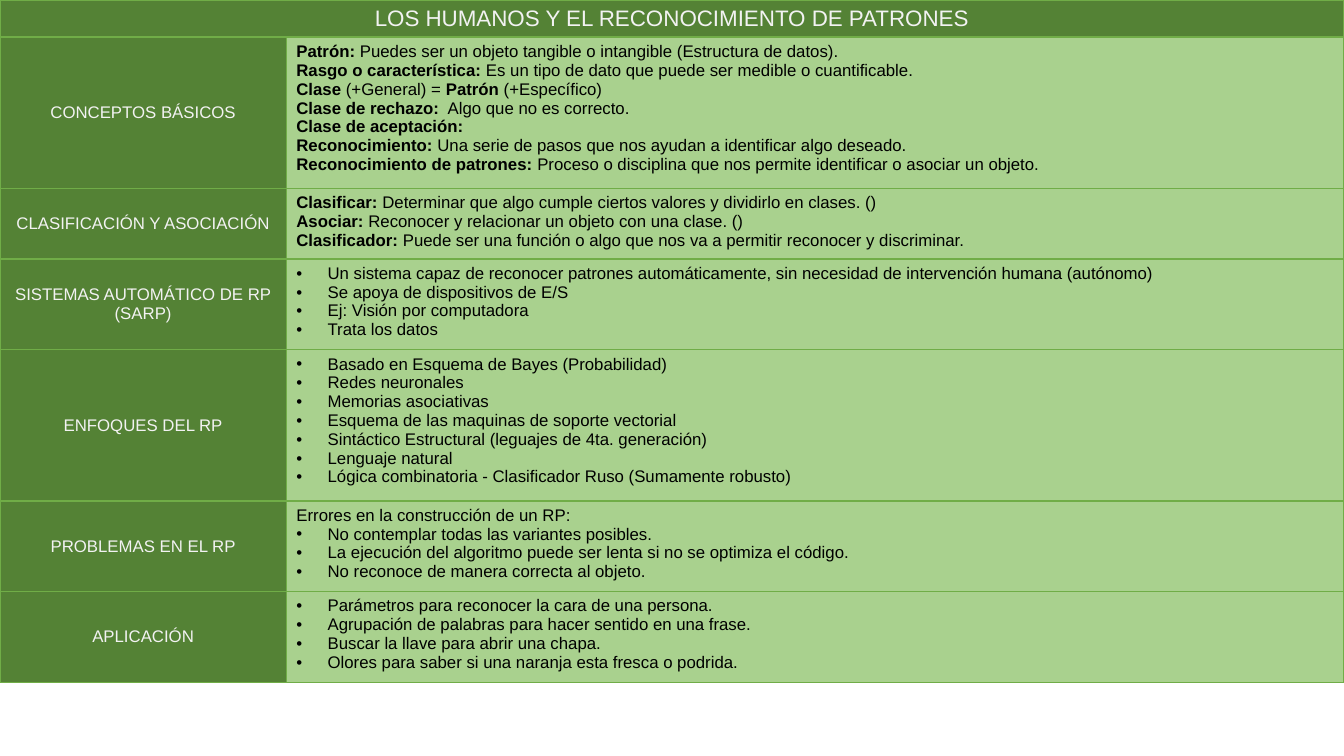
from dataclasses import dataclass

from lxml.etree import SubElement
from pptx import Presentation
from pptx.dml.color import RGBColor
from pptx.enum.text import MSO_ANCHOR, PP_ALIGN
from pptx.oxml.ns import qn
from pptx.table import _Cell as Cell
from pptx.text.text import _Paragraph as Para
from pptx.util import Inches, Pt

COLORS = {
    "dark": "548235",
    "light": "A9D18E",
    "line": "70AD47",
    "pale": "F2F2F2",
    "black": "000000",
}
TITLE = "LOS HUMANOS Y EL RECONOCIMIENTO DE PATRONES"
WIDTHS = (2.84, 10.49)
HEAD = 0.37
INDENT = Inches(0.31)


@dataclass
class Topic:
    label: str
    height: float
    lines: tuple[str, ...] = ()   # plain lines, bold between asterisks
    items: tuple[str, ...] = ()   # bulleted lines


TOPICS = (
    Topic("CONCEPTOS BÁSICOS", 1.5, lines=(
        "*Patrón: *Puedes ser un objeto tangible o intangible (Estructura de datos).",
        "*Rasgo o característica: *Es un tipo de dato que puede ser medible o cuantificable.",
        "*Clase *(+General) = *Patrón *(+Específico)",
        "*Clase de rechazo: * Algo que no es correcto.",
        "*Clase de aceptación:*",
        "*Reconocimiento: *Una serie de pasos que nos ayudan a identificar algo deseado.",
        "*Reconocimiento de patrones: *Proceso o disciplina que nos permite "
        "identificar o asociar un objeto.",
    )),
    Topic("CLASIFICACIÓN Y ASOCIACIÓN", 0.7, lines=(
        "*Clasificar: *Determinar que algo cumple ciertos valores y dividirlo en clases. ()",
        "*Asociar: *Reconocer y relacionar un objeto con una clase. ()",
        "*Clasificador: *Puede ser una función o algo que nos va a permitir "
        "reconocer y discriminar.",
    )),
    Topic("SISTEMAS AUTOMÁTICO DE RP (SARP)", 0.9, items=(
        "Un sistema capaz de reconocer patrones automáticamente, sin necesidad de "
        "intervención humana (autónomo)",
        "Se apoya de dispositivos de E/S",
        "Ej: Visión por computadora",
        "Trata los datos",
    )),
    Topic("ENFOQUES DEL RP", 1.5, items=(
        "Basado en Esquema de Bayes (Probabilidad)",
        "Redes neuronales",
        "Memorias asociativas",
        "Esquema de las maquinas de soporte vectorial",
        "Sintáctico Estructural (leguajes de 4ta. generación)",
        "Lenguaje natural",
        "Lógica combinatoria - Clasificador Ruso (Sumamente robusto)",
    )),
    Topic("PROBLEMAS EN EL RP", 0.9, lines=("Errores en la construcción de un RP:",), items=(
        "No contemplar todas las variantes posibles.",
        "La ejecución del algoritmo puede ser lenta si no se optimiza el código.",
        "No reconoce de manera correcta al objeto.",
    )),
    Topic("APLICACIÓN", 0.9, items=(
        "Parámetros para reconocer la cara de una persona.",
        "Agrupación de palabras para hacer sentido en una frase.",
        "Buscar la llave para abrir una chapa.",
        "Olores para saber si una naranja esta fresca o podrida.",
    )),
)


def color(name: str) -> RGBColor:
    return RGBColor.from_string(COLORS[name])


def frame(cell: Cell, row: int) -> None:
    """Draw the cell borders, with a thicker rule under the header."""
    props = cell._tc.get_or_add_tcPr()
    for side in "LRTB":
        thick = (row, side) in ((0, "B"), (1, "T"))
        line = SubElement(props, qn(f"a:ln{side}"), w=str(Pt(2 if thick else 1)))
        fill = SubElement(line, qn("a:solidFill"))
        SubElement(fill, qn("a:srgbClr"), val=COLORS["line"])


def paint(cell: Cell, name: str) -> None:
    cell.fill.solid()
    cell.fill.fore_color.rgb = color(name)


def write(para: Para, text: str, tint: str, size: int = 12) -> None:
    for num, part in enumerate(text.split("*")):
        if not part:
            continue
        run = para.add_run()
        run.text = part
        style = {"name": "Arial", "size": Pt(size), "bold": num % 2 == 1}
        for key, value in style.items():
            setattr(run.font, key, value)
        run.font.color.rgb = color(tint)


def label(cell: Cell, text: str, size: int = 12) -> None:
    cell.vertical_anchor = MSO_ANCHOR.MIDDLE
    para = cell.text_frame.paragraphs[0]
    para.alignment = PP_ALIGN.CENTER
    write(para, text, "pale", size)


def bullet(para: Para) -> None:
    props = para._p.get_or_add_pPr()
    props.set("marL", str(INDENT))
    props.set("indent", str(-INDENT))
    SubElement(props, qn("a:buFont"), typeface="Arial")
    SubElement(props, qn("a:buChar"), char="•")


def detail(cell: Cell, topic: Topic) -> None:
    body = cell.text_frame
    for num, text in enumerate(topic.lines + topic.items):
        para = body.add_paragraph() if num else body.paragraphs[0]
        if num >= len(topic.lines):
            bullet(para)
        write(para, text, "black")


def main() -> None:
    deck = Presentation()
    deck.slide_width, deck.slide_height = Inches(13.33), Inches(7.5)
    slide = deck.slides.add_slide(deck.slide_layouts[6])

    # Table grid
    heights = [HEAD] + [topic.height for topic in TOPICS]
    shape = slide.shapes.add_table(len(heights), len(WIDTHS), 0, 0,
                                   Inches(sum(WIDTHS)), Inches(sum(heights)))
    table = shape.table
    table.horz_banding = False
    for col, width in zip(table.columns, WIDTHS):
        col.width = Inches(width)
    for num, height in enumerate(heights):
        table.rows[num].height = Inches(height)
        for cell, name in zip(table.rows[num].cells, ("dark", "light")):
            frame(cell, num)
            paint(cell, name if num else "dark")

    # Header across both columns
    head = table.cell(0, 0)
    head.merge(table.cell(0, 1))
    label(head, TITLE, 16)

    # One row for each topic
    for num, topic in enumerate(TOPICS, 1):
        label(table.cell(num, 0), topic.label)
        detail(table.cell(num, 1), topic)

    deck.save("out.pptx")


if __name__ == "__main__":
    main()
